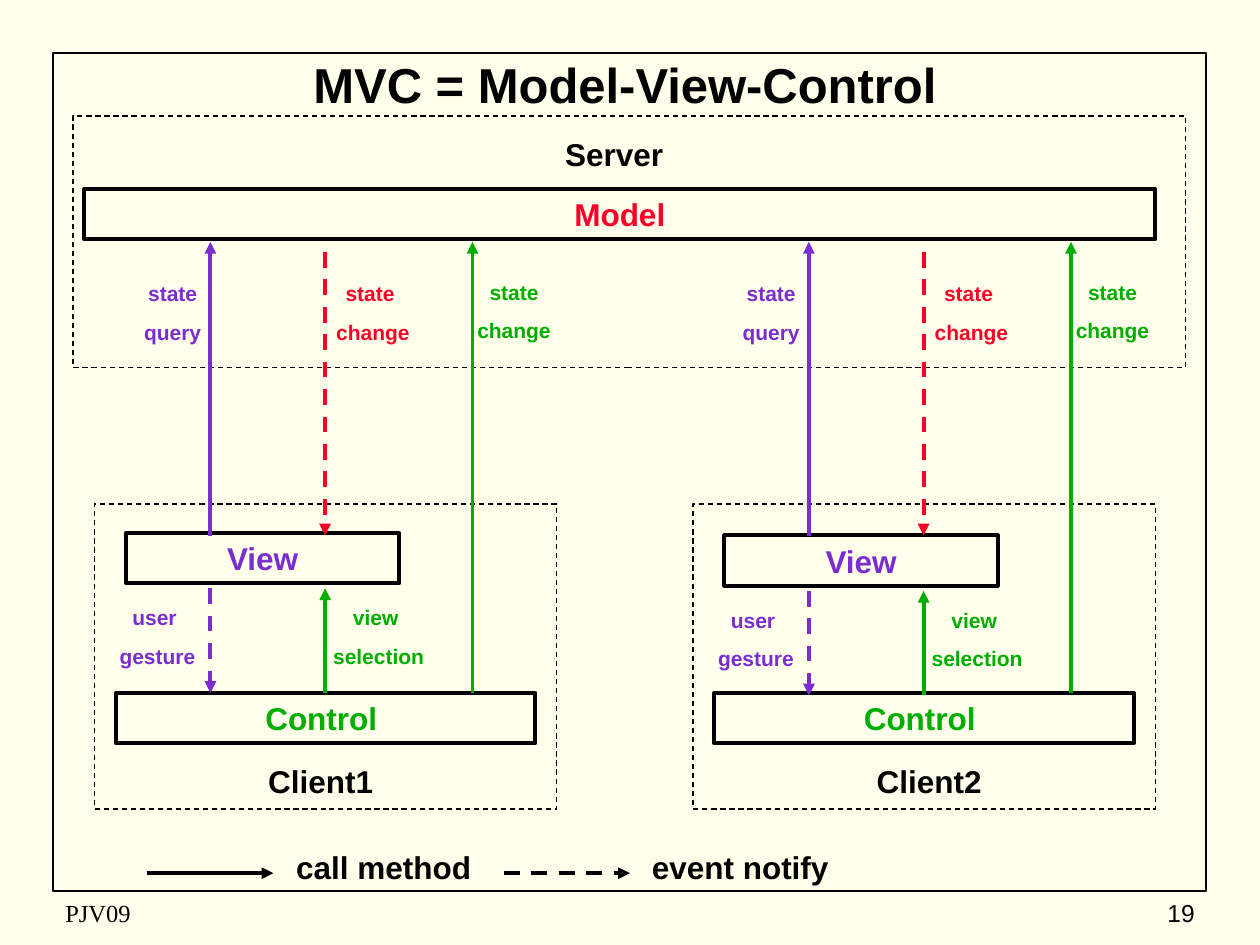
from dataclasses import dataclass

from pptx import Presentation
from pptx.dml.color import RGBColor
from pptx.enum.dml import MSO_LINE
from pptx.enum.shapes import MSO_CONNECTOR, MSO_SHAPE
from pptx.enum.text import MSO_ANCHOR, PP_ALIGN
from pptx.oxml.ns import qn
from pptx.util import Inches, Pt
from lxml.etree import SubElement


@dataclass(frozen=True)
class Theme:
    paper: str = "FFFFEB"
    ink: str = "000000"
    red: str = "FC0128"
    violet: str = "7B2ED0"
    green: str = "00AE00"
    font: str = "Arial"
    footer_font: str = "Times New Roman"
    title_size: int = 28
    heading_size: int = 18
    label_size: int = 12
    footer_size: int = 14
    thick: float = 2.25
    frame: float = 1
    thin: float = 0.75


THEME = Theme()

TITLE = "MVC = Model-View-Control"
FRAME = (0.42, 0.42, 9.15, 6.65)
SERVER_ZONE = (0.58, 0.92, 8.83, 2)
SERVER_NAME = ("Server", (4.25, 1.02, 1.25, 0.4))
MODEL = ("Model", (0.67, 1.5, 8.5, 0.4), THEME.red)

CLIENT_PITCH = 4.75
CLIENTS = [
    {"name": "Client1", "name_left": 1.92, "view_drop": 0},
    {"name": "Client2", "name_left": 6.75, "view_drop": 0.02},
]
CLIENT_ZONE = (0.75, 4, 3.67, 2.42)
VIEW = ("View", (1, 4.23, 2.17, 0.4), THEME.violet)
CONTROL = ("Control ", (0.92, 5.5, 3.33, 0.4), THEME.green)

MODEL_ARROWS = [
    (1.67, 4.25, 1.92, THEME.violet, False),
    (2.58, 2, 4.25, THEME.red, True),
    (3.75, 5.5, 1.92, THEME.green, False),
]
VIEW_ARROWS = [
    (1.67, 4.67, 5.5, THEME.violet, True),
    (2.58, 5.5, 4.67, THEME.green, False),
]
MODEL_LABELS = [
    (["state", "query"], (0.83, 2.18, 1.08, 0.61), THEME.violet),
    (["state ", "change"], (2.5, 2.18, 0.92, 0.61), THEME.red),
    (["state", "change"], (3.58, 2.17, 1, 0.61), THEME.green),
]
VIEW_LABELS = [
    (["user ", "gesture"], (0.75, 4.75, 1, 0.61), THEME.violet),
    (["view ", "selection"], (2.42, 4.75, 1.17, 0.61), THEME.green),
]
LEGEND_Y = 6.93
LEGEND = [("call method", 1.17, False), ("event notify", 4, True)]
FOOTER = [
    ("PJV09", (0.42, 7.08, 3.17, 0.33), THEME.footer_font, PP_ALIGN.LEFT),
    ("19", (7.5, 7.08, 2.08, 0.33), THEME.font, PP_ALIGN.RIGHT),
]


def rgb(color):
    return RGBColor.from_string(color)


def shift(box, right=0, down=0):
    left, top, width, height = box
    return left + right, top + down, width, height


def write(holder, lines, *, size=THEME.heading_size, color=THEME.ink, font=THEME.font,
          bold=True, align=PP_ALIGN.CENTER, anchor=MSO_ANCHOR.TOP, gap=7.5):
    frame = holder.text_frame
    frame.word_wrap = True
    frame.vertical_anchor = anchor
    frame.margin_left = frame.margin_right = Inches(0.1)
    frame.margin_top = frame.margin_bottom = Inches(0.05)
    for index, line in enumerate(lines):
        paragraph = frame.add_paragraph() if index else frame.paragraphs[0]
        paragraph.alignment = align
        paragraph.space_before = Pt(gap if index else 0)
        run = paragraph.add_run()
        run.text = line
        run.font.name = font
        run.font.size = Pt(size)
        run.font.bold = bold
        run.font.color.rgb = rgb(color)


def add_text(slide, lines, box, **style):
    write(slide.shapes.add_textbox(*map(Inches, box)), lines, **style)


def add_box(slide, box, width, dashed=False):
    outline = slide.shapes.add_shape(MSO_SHAPE.RECTANGLE, *map(Inches, box))
    outline.shadow.inherit = False
    outline.fill.background()
    outline.line.color.rgb = rgb(THEME.ink)
    outline.line.width = Pt(width)
    if dashed:
        outline.line.dash_style = MSO_LINE.DASH
    return outline


def add_named_box(slide, name, box, color):
    write(add_box(slide, box, THEME.thick), [name], color=color)


def add_arrow(slide, start, end, color, dashed):
    arrow = slide.shapes.add_connector(
        MSO_CONNECTOR.STRAIGHT, *map(Inches, (*start, *end)))
    arrow.line.color.rgb = rgb(color)
    arrow.line.width = Pt(THEME.thick)
    if dashed:
        arrow.line.dash_style = MSO_LINE.DASH
    SubElement(arrow.line._get_or_add_ln(), qn("a:tailEnd"), type="triangle")
    SubElement(arrow._element.spPr, qn("a:effectLst"))


def add_client(slide, client, right):
    drop = client["view_drop"]
    add_box(slide, shift(CLIENT_ZONE, right), THEME.thin, dashed=True)
    for (name, box, color), down in ((VIEW, drop), (CONTROL, 0)):
        add_named_box(slide, name, shift(box, right, down), color)
    for arrows, labels, down in ((MODEL_ARROWS, MODEL_LABELS, 0),
                                 (VIEW_ARROWS, VIEW_LABELS, drop)):
        for x, start, end, color, dashed in arrows:
            add_arrow(slide, (x + right, start + down), (x + right, end + down),
                      color, dashed)
        for lines, box, color in labels:
            add_text(slide, lines, shift(box, right, down),
                     size=THEME.label_size, color=color)
    add_text(slide, [client["name"]], (client["name_left"], 6, 1.25, 0.4))


def main():
    deck = Presentation()
    deck.slide_width, deck.slide_height = Inches(10), Inches(7.5)
    slide = deck.slides.add_slide(deck.slide_layouts[5])
    slide.background.fill.solid()
    slide.background.fill.fore_color.rgb = rgb(THEME.paper)

    title = slide.shapes.title
    title.left, title.top, title.width, title.height = map(Inches, (0.5, 0.33, 8.92, 0.67))
    write(title, [TITLE], size=THEME.title_size, anchor=MSO_ANCHOR.MIDDLE)

    add_box(slide, FRAME, THEME.frame)
    add_box(slide, SERVER_ZONE, THEME.thin, dashed=True)
    server, server_box = SERVER_NAME
    add_text(slide, [server], server_box)
    add_named_box(slide, *MODEL)

    for index, client in enumerate(CLIENTS):
        add_client(slide, client, index * CLIENT_PITCH)

    for meaning, left, dashed in LEGEND:
        add_arrow(slide, (left, LEGEND_Y), (left + 1, LEGEND_Y), THEME.ink, dashed)
        add_text(slide, [meaning], (left + 0.75, LEGEND_Y - 0.25, 2.25, 0.4))

    for words, box, font, align in FOOTER:
        add_text(slide, [words], box, size=THEME.footer_size, font=font, bold=False,
                 align=align, anchor=MSO_ANCHOR.MIDDLE)

    deck.save("out.pptx")


if __name__ == "__main__":
    main()
